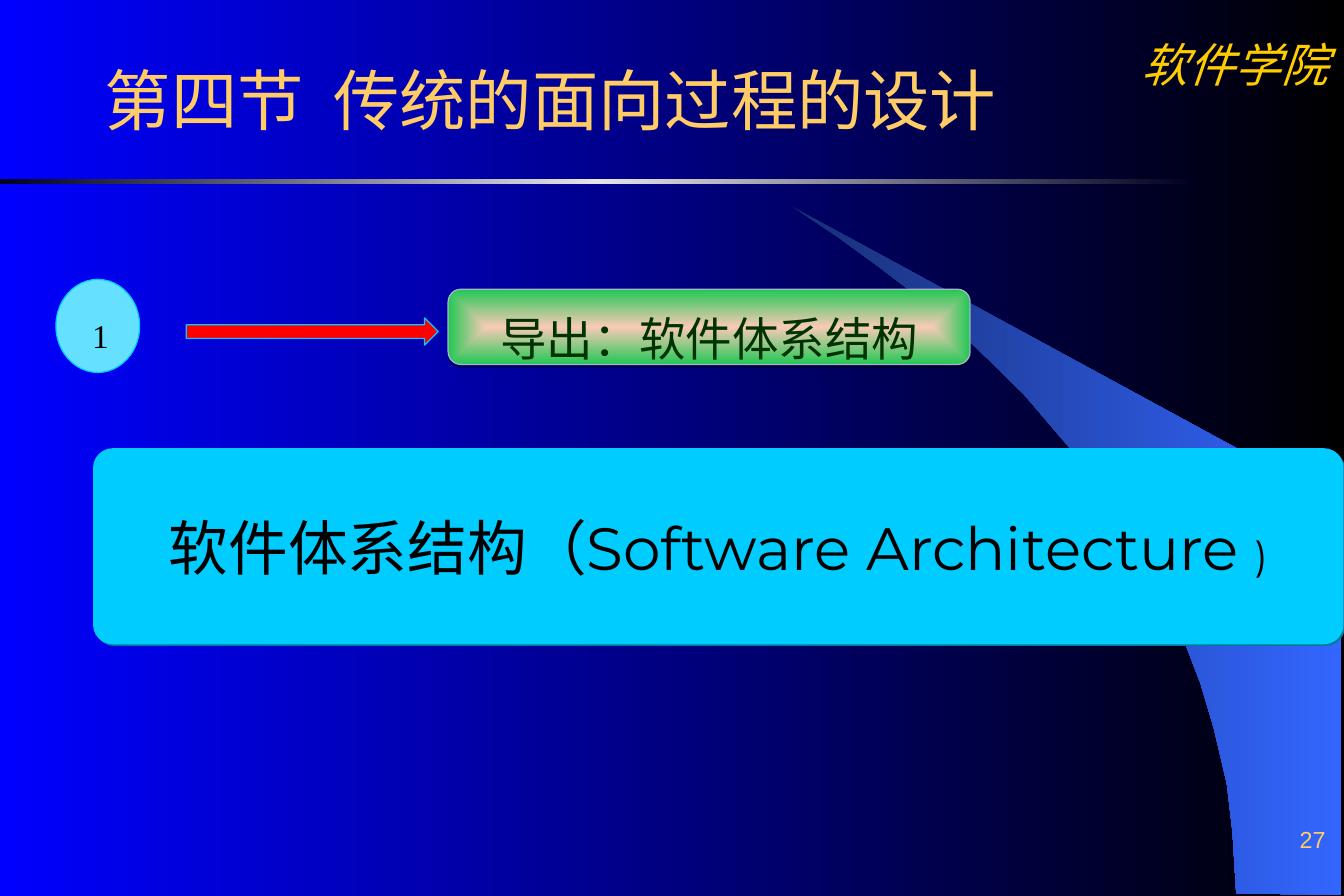
"""Build the slide on exporting a software architecture."""
from copy import deepcopy
from dataclasses import dataclass, field
from typing import Any, Optional

from lxml.etree import SubElement as Sub
from pptx import Presentation
from pptx.dml.color import RGBColor as Rgb
from pptx.enum.shapes import MSO_SHAPE as Kind
from pptx.enum.text import MSO_ANCHOR as Anchor, PP_ALIGN as Align
from pptx.oxml.ns import qn
from pptx.util import Cm, Pt


@dataclass(frozen=True)
class Theme:
    """Colours, fonts and type sizes."""
    back: tuple = ((0, "0000FF"), (1, "000000"))
    sweep: tuple = ((0, "182F76"), (1, "3366FF"))
    rule: tuple = ((0, "000020"), (0.5, "E5E5E8"), (1, "000020"))
    glow: tuple = ((0, "F8CAB6"), (1, "21C754"))
    gold: str = "FFCC00"
    sand: str = "FFCC66"
    cyan: str = "00CCFF"
    pale: str = "66E0FF"
    red: str = "FF0000"
    steel: str = "A5B5CF"
    teal: str = "007A99"
    green: str = "003300"
    black: str = "000000"
    sans: str = "Montserrat"
    serif: str = "Times New Roman"
    plain: str = "Arial"
    head: int = 40
    large: int = 36
    mid: int = 28
    small: int = 24
    mark: int = 20
    page: int = 14


@dataclass(frozen=True)
class Shade:
    """A hard shadow: colour, opacity in percent, distance in points, angle."""
    hue: str
    alpha: int
    dist: float
    angle: int


@dataclass(frozen=True)
class Label:
    """Text runs as (text, size) pairs with their format."""
    runs: tuple
    face: str
    hue: str
    align: Any = Align.LEFT
    anchor: Any = Anchor.MIDDLE
    inset: tuple = (0.25, 0.13)
    space: float = 1
    font: dict = field(default_factory=dict)


@dataclass(frozen=True)
class Item:
    """One shape, or a text box when it has no kind."""
    box: tuple
    kind: Any = None
    fill: Any = None
    line: Optional[str] = None
    round: Optional[float] = None
    radial: bool = False
    shade: Optional[Shade] = None
    label: Optional[Label] = None


T = Theme()
SWEEP = (
    (26.29, 19), (28.52, 19.02), (28.52, 10.74), (16.84, 4.39), (17.83, 5.05),
    (18.64, 5.64), (19.58, 6.35), (20.47, 7.11), (21.77, 8.38), (22.94, 9.75),
    (23.77, 10.95), (24.51, 12.17), (25.1, 13.41), (25.53, 14.53),
    (25.81, 15.47), (26.09, 16.66), (26.21, 17.68),
)
ITEMS = (
    Item((23.93, 0.64, 4.65, 1.45), label=Label(
        (("软件学院", T.mid),), T.serif, T.gold, Align.CENTER, Anchor.TOP,
        font={"italic": True})),
    Item((0, 3.81, 25.37, 0.1), Kind.RECTANGLE, T.rule),
    Item((22.5, 17.07, 5.94, 1.07), label=Label(
        (("27", T.page),), T.plain, T.sand, Align.RIGHT, Anchor.BOTTOM, (0.25, 0))),
    Item((1.98, 1.4, 20.83, 1.4), label=Label(
        (("第四节  传统的面向过程的设计", T.head),), T.sans, T.sand)),
    Item((1.98, 9.53, 26.59, 4.17), Kind.ROUNDED_RECTANGLE, T.cyan, round=0.1,
         shade=Shade(T.teal, 100, 1.4, 45), label=Label(
             (("软件体系结构（Software Architecture ", T.large), (")", T.small)),
             T.sans, T.black, Align.CENTER, inset=(0.25, 0))),
    Item((1.19, 5.94, 1.78, 1.98), Kind.OVAL, T.pale, T.cyan, label=Label(
        (("1", T.mark),), T.serif, T.black, anchor=Anchor.TOP,
        inset=(0.51, 0.13), space=1.4)),
    Item((3.96, 6.76, 5.36, 0.58), Kind.RIGHT_ARROW, T.red, T.cyan),
    Item((9.53, 6.15, 11.1, 1.6), Kind.ROUNDED_RECTANGLE, T.glow, T.steel,
         round=0.17, radial=True, shade=Shade(T.black, 35, 1.8, 90), label=Label(
             (("导出：软件体系结构", T.mid),), T.sans, T.green, Align.CENTER,
             inset=(0, 0), space=1.4)),
)


def put(target: Any, values: dict) -> None:
    """Set each named value on the target."""
    for name, value in values.items():
        setattr(target, name, value)


def blend(fill: Any, root: Any, stops: tuple, radial: bool = False) -> None:
    """Give a fill its gradient stops."""
    fill.gradient()
    fill.gradient_angle = 0
    tree = root.find(f".//{qn('a:gsLst')}")
    for _ in stops[2:]:
        tree.append(deepcopy(tree[-1]))
    for stop, (place, hue) in zip(fill.gradient_stops, stops):
        put(stop, {"position": place})
        stop.color.rgb = Rgb.from_string(hue)
    if radial:
        grad = tree.getparent()
        grad.remove(grad.find(qn("a:lin")))
        way = Sub(grad, qn("a:path"), path="rect")
        Sub(way, qn("a:fillToRect"), dict.fromkeys("ltrb", "50000"))


def dress(shape: Any, fill: Any, line: Optional[str], radial: bool = False) -> None:
    """Set the fill and outline, and drop the shadow."""
    shape.shadow.inherit = False
    if isinstance(fill, tuple):
        blend(shape.fill, shape.element, fill, radial)
    else:
        shape.fill.solid()
        shape.fill.fore_color.rgb = Rgb.from_string(fill)
    if line:
        shape.line.color.rgb = Rgb.from_string(line)
        shape.line.width = Pt(0.75)
    else:
        shape.line.fill.background()


def cast(shape: Any, shade: Shade) -> None:
    """Add a hard shadow."""
    tree = shape.element.find(f".//{qn('a:effectLst')}")
    drop = Sub(tree, qn("a:outerShdw"), blurRad="0", dist=str(int(Pt(shade.dist))),
               dir=str(shade.angle * 60000), algn="ctr", rotWithShape="0")
    hue = Sub(drop, qn("a:srgbClr"), val=shade.hue)
    Sub(hue, qn("a:alpha"), val=str(shade.alpha * 1000))


def write(shape: Any, label: Label) -> None:
    """Write a label into a shape."""
    frame = shape.text_frame
    side, edge = map(Cm, label.inset)
    put(frame, {"word_wrap": True, "vertical_anchor": label.anchor,
                "margin_left": side, "margin_right": side,
                "margin_top": edge, "margin_bottom": edge})
    para = frame.paragraphs[0]
    put(para, {"alignment": label.align, "line_spacing": label.space})
    for text, size in label.runs:
        run = para.add_run()
        run.text = text
        put(run.font, {"name": label.face, "size": Pt(size), **label.font})
        run.font.color.rgb = Rgb.from_string(label.hue)


def draw(shapes: Any, item: Item) -> None:
    """Draw one item."""
    box = map(Cm, item.box)
    if item.kind is None:
        shape = shapes.add_textbox(*box)
    else:
        shape = shapes.add_shape(item.kind, *box)
        dress(shape, item.fill, item.line, item.radial)
    if item.round:
        shape.adjustments[0] = item.round
    if item.shade:
        cast(shape, item.shade)
    if item.label:
        write(shape, item.label)


def main() -> None:
    """Build and save the slide."""
    deck = Presentation()
    put(deck, {"slide_width": Cm(28.58), "slide_height": Cm(19.05)})
    slide = deck.slides.add_slide(deck.slide_layouts[6])
    blend(slide.background.fill, slide.element, T.back)
    first, *rest = [(Cm(x), Cm(y)) for x, y in SWEEP]
    pen = slide.shapes.build_freeform(*first)
    pen.add_line_segments(rest, close=True)
    dress(pen.convert_to_shape(), T.sweep, None)
    for item in ITEMS:
        draw(slide.shapes, item)
    deck.save("out.pptx")


if __name__ == "__main__":
    main()
